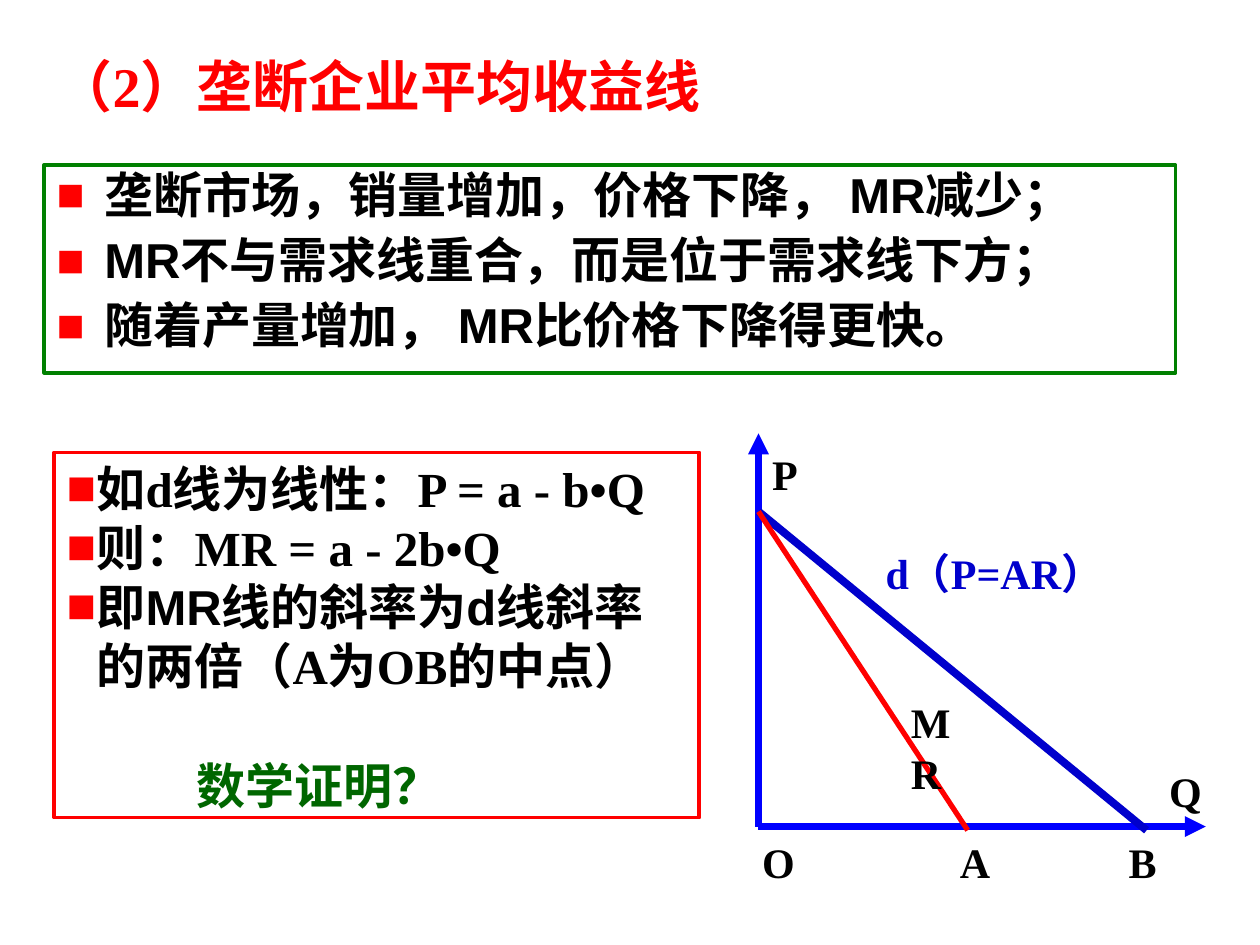
import pptx
import pptx.dml.color
import pptx.enum.lang
import pptx.enum.shapes
import pptx.enum.text
import pptx.oxml
import pptx.oxml.ns
import pptx.util
from pptx.util import Inches

SERIF, SANS = "Times New Roman", "Arial"
BLACK, RED, AXIS_BLUE, DEMAND_BLUE = "000000", "FF0000", "0000FF", "0000CC"
BOX_GREEN, QUESTION_GREEN = "008000", "006600"

TITLE = "（2）垄断企业平均收益线"
QUESTION = "数学证明？"
# Each paragraph is a list of (text, font) runs
FEATURES = [
    [("垄断市场，销量增加，价格下降， MR减少；", SANS)],
    [("MR不与需求线重合，而是位于需求线下方；", SANS)],
    [("随着产量增加， MR比价格下降得更快。", SANS)],
]
DERIVATION = [
    [("如d线为线性：P = a - b•Q", SERIF)],
    [("则：MR = a - 2b•Q", SERIF)],
    [("即", SERIF), ("MR线的斜率为d线斜率的两倍（", SANS), ("A为OB的中点）", SERIF)],
]

ORIGIN = (6.02, 6.56)
INTERCEPT = (6.02, 4.06)
# start, end, colour, width, arrowhead
LINES = [
    (ORIGIN, (6.02, 3.44), AXIS_BLUE, 4, True),
    (ORIGIN, (9.57, 6.56), AXIS_BLUE, 4, True),
    (INTERCEPT, (9.1, 6.59), DEMAND_BLUE, 4.5, False),
    (INTERCEPT, (7.68, 6.59), RED, 3, False),
]
# text, left, top, width, colour
LABELS = [
    ("d（P=AR）", 6.93, 4.3, 2.16, DEMAND_BLUE),
    ("MR", 7.13, 5.48, 0.75, BLACK),
    ("P", 6.03, 3.51, 0.4, BLACK),
    ("Q", 9.18, 6.03, 0.46, BLACK),
    ("O", 5.95, 6.59, 0.46, BLACK),
    ("A", 7.52, 6.59, 0.44, BLACK),
    ("B", 8.86, 6.59, 0.42, BLACK),
]


def rgb(value):
    return pptx.dml.color.RGBColor.from_string(value)


def add_element(parent, xml):
    tag, rest = xml[1:].split(" ", 1) if " " in xml else (xml[1:-2], "/>")
    namespace = pptx.oxml.ns.nsdecls("a")
    parent.append(pptx.oxml.parse_xml(f"<{tag} {namespace} {rest}"))


def add_run(paragraph, text, font, size, color):
    run = paragraph.add_run()
    run.text = text
    run.font.name = font
    run.font.size = pptx.util.Pt(size)
    run.font.bold = True
    run.font.color.rgb = rgb(color)
    run.font.language_id = pptx.enum.lang.MSO_LANGUAGE_ID.SIMPLIFIED_CHINESE


def add_text(slide, bounds, text, font, size, color, wrap=True):
    frame = slide.shapes.add_textbox(*map(Inches, bounds)).text_frame
    frame.word_wrap = wrap
    add_run(frame.paragraphs[0], text, font, size, color)
    return frame


def add_bullet_box(slide, bounds, paragraphs, border, indent, bullet_size=100,
                   line_spacing=1.0, gap=0):
    box = slide.shapes.add_shape(
        pptx.enum.shapes.MSO_SHAPE.RECTANGLE, *map(Inches, bounds))
    box.shadow.inherit = False
    box.fill.solid()
    box.fill.fore_color.rgb = rgb("FFFFFF")
    box.line.color.rgb = rgb(border)
    box.line.width = pptx.util.Pt(2)
    frame = box.text_frame
    frame.word_wrap = True
    frame.vertical_anchor = pptx.enum.text.MSO_ANCHOR.TOP
    for index, runs in enumerate(paragraphs):
        paragraph = frame.paragraphs[0] if index == 0 else frame.add_paragraph()
        paragraph.alignment = pptx.enum.text.PP_ALIGN.LEFT
        paragraph.line_spacing = line_spacing
        paragraph.space_before = pptx.util.Pt(gap if index else 0)
        properties = paragraph._p.get_or_add_pPr()
        properties.set("marL", str(Inches(indent)))
        properties.set("indent", str(-Inches(indent)))
        add_element(properties, f'<a:buClr ><a:srgbClr val="{RED}"/></a:buClr>')
        add_element(properties, f'<a:buSzPct val="{bullet_size * 1000}"/>')
        add_element(properties, f'<a:buFont typeface="{SANS}"/>')
        add_element(properties, '<a:buChar char="■"/>')
        for text, font in runs:
            add_run(paragraph, text, font, 28, BLACK)


def add_line(slide, start, end, color, width, arrow):
    line = slide.shapes.add_connector(
        pptx.enum.shapes.MSO_CONNECTOR.STRAIGHT, *map(Inches, start + end))
    line.line.color.rgb = rgb(color)
    line.line.width = pptx.util.Pt(width)
    if arrow:
        add_element(line.line._get_or_add_ln(), '<a:tailEnd type="triangle"/>')
    add_element(line._element.spPr, "<a:effectLst/>")


def main():
    deck = pptx.Presentation()
    deck.slide_width, deck.slide_height = Inches(10), Inches(7.5)
    slide = deck.slides.add_slide(deck.slide_layouts[6])

    title = add_text(slide, (0.35, 0.36, 6.54, 0.63), TITLE, SERIF, 32, RED)
    title.vertical_anchor = pptx.enum.text.MSO_ANCHOR.MIDDLE
    add_bullet_box(slide, (0.35, 1.31, 8.98, 1.65), FEATURES, BOX_GREEN,
                   indent=0.38, bullet_size=95, line_spacing=0.9, gap=7)
    for line in LINES:
        add_line(slide, *line)
    for text, left, top, width, color in LABELS:
        add_text(slide, (left, top, width, 0.5), text, SERIF, 24, color, wrap=False)
    add_bullet_box(slide, (0.43, 3.59, 5.12, 2.9), DERIVATION, RED, indent=0.24)
    add_text(slide, (1.46, 5.95, 2.68, 0.57), QUESTION, SANS, 28, QUESTION_GREEN)

    deck.save("out.pptx")


if __name__ == "__main__":
    main()
